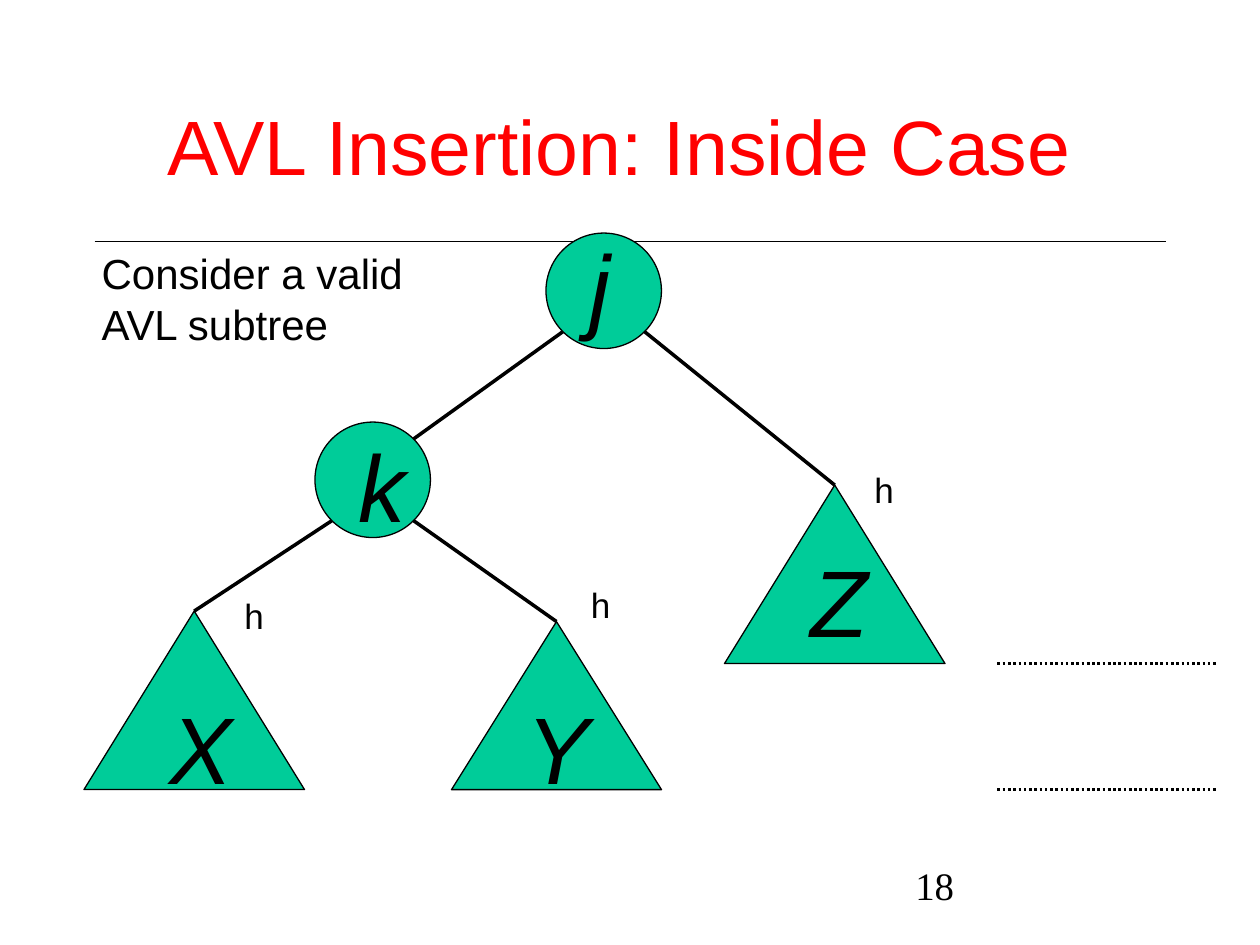
import math

import pptx
import pptx.dml.color
import pptx.enum.dml
import pptx.enum.shapes
import pptx.enum.text
import pptx.oxml.ns
import pptx.util
import lxml.etree

BLACK = pptx.dml.color.RGBColor(0x00, 0x00, 0x00)
RED = pptx.dml.color.RGBColor(0xFF, 0x00, 0x00)
GREEN = pptx.dml.color.RGBColor(0x00, 0xCC, 0x99)

SHAPE = pptx.enum.shapes.MSO_SHAPE
ALIGN = pptx.enum.text.PP_ALIGN
ANCHOR = pptx.enum.text.MSO_ANCHOR
DASH = pptx.enum.dml.MSO_LINE

CELLS_PER_INCH = 12
NODE_SIZE = 11


def grid(cells):
    return pptx.util.Inches(cells / CELLS_PER_INCH)


def add_text(s, box, lines, size, color=BLACK, font="Arial", italic=False,
             align=ALIGN.LEFT, anchor=ANCHOR.TOP, wrap=True, spacing=None, top=0.05):
    sp = s.shapes.add_textbox(*map(grid, box))
    tf = sp.text_frame
    tf.word_wrap = wrap
    tf.vertical_anchor = anchor
    tf.margin_top = pptx.util.Inches(top)
    for i, line in enumerate(lines):
        p = tf.paragraphs[0] if i == 0 else tf.add_paragraph()
        p.alignment = align
        if spacing:
            p.line_spacing = spacing
        r = p.add_run()
        r.text = line
        r.font.name = font
        r.font.size = pptx.util.Pt(size)
        r.font.italic = italic
        r.font.color.rgb = color


def add_letter(s, letter, left, top):
    add_text(s, (left, top, 6.7, 12), [letter], 54, italic=True, top=0.13)


def add_height(s, left, top):
    add_text(s, (left, top, 4.2, 5.3), ["h"], 20, wrap=False)


def add_solid(s, kind, box):
    sp = s.shapes.add_shape(kind, *map(grid, box))
    sp.shadow.inherit = False
    sp.fill.solid()
    sp.fill.fore_color.rgb = GREEN
    sp.line.color.rgb = BLACK
    sp.line.width = pptx.util.Pt(0.75)
    return sp


def add_line(s, start, end, width, dash=None):
    c = s.shapes.add_connector(
        pptx.enum.shapes.MSO_CONNECTOR.STRAIGHT, *map(grid, start + end))
    c.line.color.rgb = BLACK
    c.line.width = pptx.util.Pt(width)
    if dash:
        c.line.dash_style = dash
    lxml.etree.SubElement(c._element.spPr, pptx.oxml.ns.qn("a:effectLst"))
    return c


def add_node(s, letter, left, top, letter_top):
    add_solid(s, SHAPE.OVAL, (left, top, NODE_SIZE, NODE_SIZE))
    add_letter(s, letter, left + 3, letter_top)


def add_subtree(s, letter, box, letter_at):
    sp = add_solid(s, SHAPE.ISOSCELES_TRIANGLE, box)
    add_letter(s, letter, *letter_at)
    return sp


def node_corner(node, side_x, side_y):
    r = NODE_SIZE / 2
    reach = r * math.sqrt(0.5)
    return node[0] + r + side_x * reach, node[1] + r + side_y * reach


def add_tree(s):
    j, k = (52, 22.2), (30, 40.2)
    add_node(s, "j", *j, 20.2)
    add_node(s, "k", *k, 39.2)
    add_line(s, node_corner(j, -1, 1), node_corner(k, 1, -1), 2)
    subtrees = [
        ("X", (8, 58.2, 21, 17), (15, 64.2), k, -1, (22.1, 56)),
        ("Y", (43, 59.2, 20, 16), (49, 64.2), k, 1, (55.1, 55)),
        ("Z", (69, 46.2, 21, 17), (76, 50.2), j, 1, (82.1, 44)),
    ]
    for letter, box, letter_at, parent, side, height_at in subtrees:
        sp = add_subtree(s, letter, box, letter_at)
        apex = (box[0] + box[2] / 2, box[1])
        edge = add_line(s, node_corner(parent, side, 1), apex, 2)
        edge.end_connect(sp, 0)
        add_height(s, *height_at)


def main():
    prs = pptx.Presentation()
    prs.slide_width = pptx.util.Inches(10)
    prs.slide_height = pptx.util.Inches(7.5)
    s = prs.slides.add_slide(prs.slide_layouts[6])

    add_line(s, (9, 23), (111, 23), 0.75)
    add_text(s, (86, 82, 25, 6), ["18"], 22.2, font="Times New Roman", spacing=0.9)
    add_tree(s)
    for level in (63.2, 75.2):
        add_line(s, (95, level), (116, level), 1.5, DASH.ROUND_DOT)
    add_text(s, (8.8, 8.5, 102.5, 10.5), ["AVL Insertion: Inside Case "], 44,
             color=RED, align=ALIGN.CENTER, anchor=ANCHOR.MIDDLE)
    add_text(s, (8.5, 23, 31.1, 10.8), ["Consider a valid", "AVL subtree"], 24, wrap=False)

    prs.save("out.pptx")


if __name__ == "__main__":
    main()
